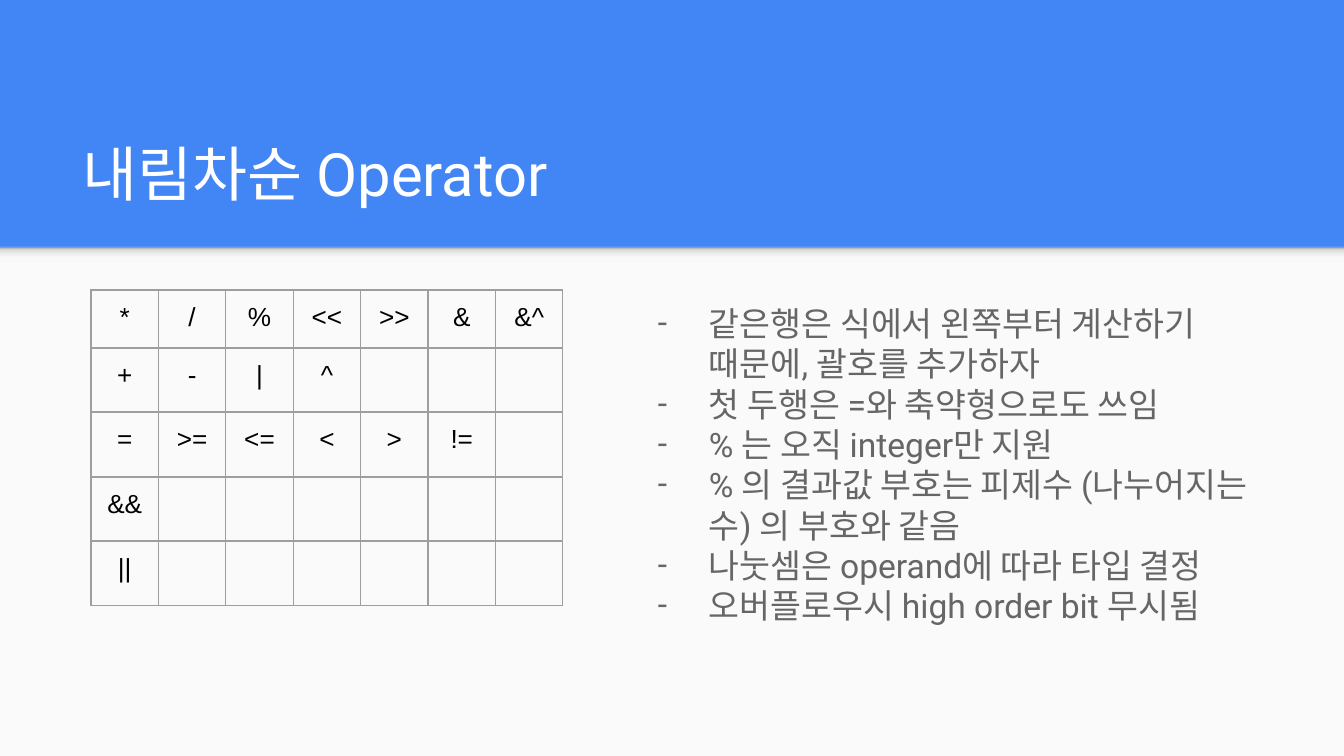
from pptx import Presentation
from pptx.dml.color import RGBColor
from pptx.enum.shapes import MSO_SHAPE
from pptx.enum.text import MSO_ANCHOR, PP_ALIGN
from pptx.oxml import parse_xml
from pptx.oxml.ns import nsdecls
from pptx.util import Pt

# Content
TITLE = "내림차순 Operator"
OPERATORS = [
    ["*", "/", "%", "<<", ">>", "&", "&^"],
    ["+", "-", "|", "^"],
    ["=", ">=", "<=", "<", ">", "!="],
    ["&&"],
    ["||"],
]
NOTES = [
    "같은행은 식에서 왼쪽부터 계산하기 때문에, 괄호를 추가하자",
    "첫 두행은 =와 축약형으로도 쓰임",
    "% 는 오직 integer만 지원",
    "% 의 결과값 부호는 피제수 (나누어지는 수) 의 부호와 같음",
    "나눗셈은 operand에 따라 타입 결정",
    "오버플로우시 high order bit 무시됨",
]

# Format
BLUE = RGBColor(0x42, 0x85, 0xF4)
PAPER = RGBColor(0xFA, 0xFA, 0xFA)
WHITE = RGBColor(0xFF, 0xFF, 0xFF)
BLACK = RGBColor(0x00, 0x00, 0x00)
GREY = RGBColor(0x66, 0x66, 0x66)
BORDER = RGBColor(0x9E, 0x9E, 0x9E)
SHADE = [(0, "F9F9F9"), (36, "F9F9F9"), (80, "DEDEDE"), (100, "999999")]
TITLE_FONT = {"name": "Roboto", "size": Pt(32), "color": WHITE}
CELL_FONT = {"name": "Arial", "size": Pt(14), "color": BLACK}
NOTE_FONT = {"name": "Roboto", "size": Pt(18), "color": GREY}
RECT = MSO_SHAPE.RECTANGLE
TOP, BOTTOM, CENTER = MSO_ANCHOR.TOP, MSO_ANCHOR.BOTTOM, PP_ALIGN.CENTER

# Layout in px
WIDTH, HEIGHT = 1344, 756
BAND = 247
INSET = 13
TABLE_X, TABLE_Y, TABLE_W = 91, 290, 472
ROW_HEIGHTS = [58, 64, 65, 64, 65]
COLS = max(map(len, OPERATORS))


def px(n):
    return round(n * 914400 / 134.4)


def add_run(p, text, font):
    r = p.add_run()
    r.text = text
    for key, value in font.items():
        if key == "color":
            r.font.color.rgb = value
        else:
            setattr(r.font, key, value)


def set_insets(obj):
    for side in ("left", "top", "right", "bottom"):
        setattr(obj, f"margin_{side}", px(INSET))


def add_rect(s, x, y, w, h):
    sp = s.shapes.add_shape(RECT, px(x), px(y), px(w), px(h))
    sp.shadow.inherit = False
    sp.line.fill.background()
    return sp


def add_text(s, x, y, w, h, anchor):
    tf = s.shapes.add_textbox(px(x), px(y), px(w), px(h)).text_frame
    tf.word_wrap = True
    tf.vertical_anchor = anchor
    set_insets(tf)
    return tf


def set_borders(cell):
    tc_pr = cell._tc.get_or_add_tcPr()
    for i, side in enumerate(("lnL", "lnR", "lnT", "lnB")):
        tc_pr.insert(i, parse_xml(
            f'<a:{side} {nsdecls("a")} w="{Pt(0.75)}"><a:solidFill>'
            f'<a:srgbClr val="{BORDER}"/></a:solidFill></a:{side}>'))


prs = Presentation()
prs.slide_width, prs.slide_height = px(WIDTH), px(HEIGHT)
s = prs.slides.add_slide(prs.slide_layouts[6])
s.background.fill.solid()
s.background.fill.fore_color.rgb = BLUE

# Lower panel and the shade under the title band
panel = add_rect(s, 0, BAND, WIDTH, HEIGHT - BAND)
panel.fill.solid()
panel.fill.fore_color.rgb = PAPER
shade = add_rect(s, 0, BAND, WIDTH, 16)
stops = "".join(f'<a:gs pos="{pos * 1000}"><a:srgbClr val="{color}"/></a:gs>'
                for pos, color in SHADE)
shade._element.spPr.prstGeom.addnext(parse_xml(
    f'<a:gradFill {nsdecls("a")}><a:gsLst>{stops}</a:gsLst>'
    f'<a:lin ang="{270 * 60000}" scaled="0"/></a:gradFill>'))

# Title
tf = add_text(s, 70, 109, 1208, 113, BOTTOM)
add_run(tf.paragraphs[0], TITLE, TITLE_FONT)

# Operator table
table = s.shapes.add_table(len(OPERATORS), COLS, px(TABLE_X), px(TABLE_Y),
                           px(TABLE_W), px(sum(ROW_HEIGHTS))).table
table.first_row = table.horz_banding = False
for col in table.columns:
    col.width = px(TABLE_W / COLS)
for i, (row, height) in enumerate(zip(OPERATORS, ROW_HEIGHTS)):
    table.rows[i].height = px(height)
    for j in range(COLS):
        cell = table.cell(i, j)
        cell.fill.background()
        set_borders(cell)
        if j < len(row):
            set_insets(cell)
            p = cell.text_frame.paragraphs[0]
            p.alignment = CENTER
            add_run(p, row[j], CELL_FONT)

# Notes with dash bullets
tf = add_text(s, 629, 290, 648, 391, TOP)
for i, note in enumerate(NOTES):
    p = tf.add_paragraph() if i else tf.paragraphs[0]
    add_run(p, note, NOTE_FONT)
    p_pr = p._p.get_or_add_pPr()
    p_pr.set("marL", str(px(67)))
    p_pr.set("indent", str(-px(51)))
    p_pr.append(parse_xml(f'<a:buClr {nsdecls("a")}><a:srgbClr val="{GREY}"/></a:buClr>'))
    p_pr.append(parse_xml(f'<a:buFont {nsdecls("a")} typeface="Roboto"/>'))
    p_pr.append(parse_xml(f'<a:buChar {nsdecls("a")} char="-"/>'))

prs.save("out.pptx")
